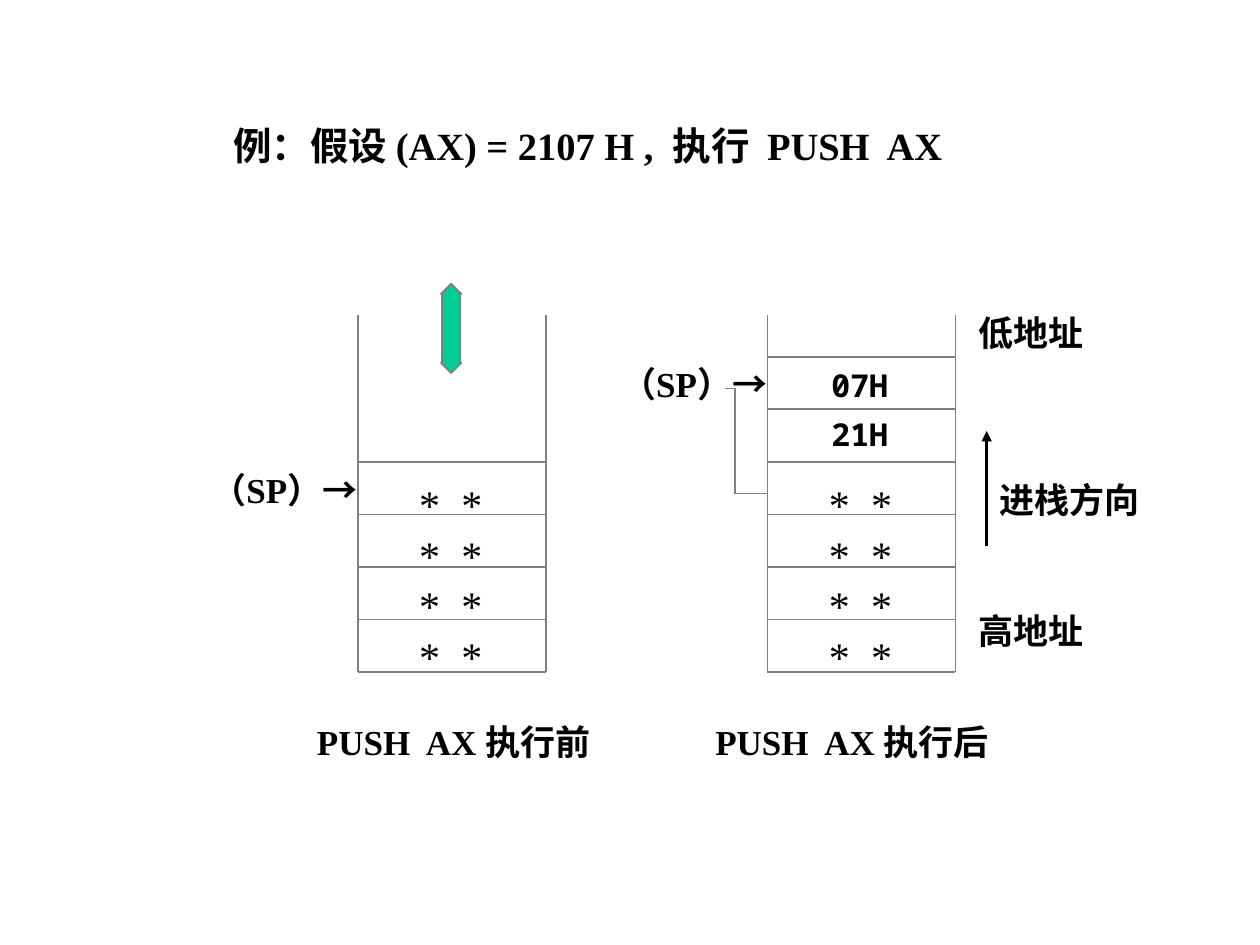
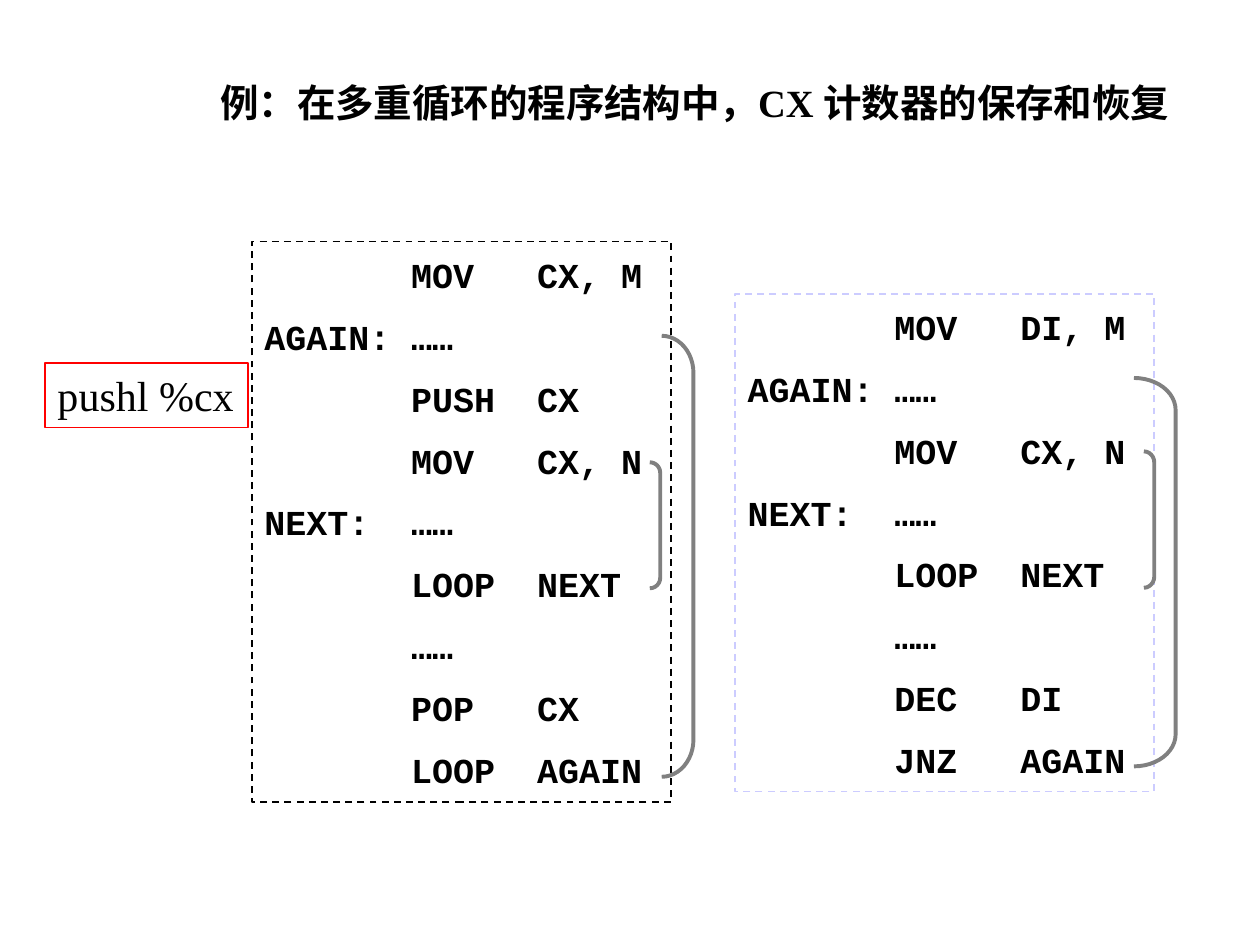
from dataclasses import dataclass
from itertools import pairwise

from lxml import etree
from pptx import Presentation
from pptx.dml.color import RGBColor
from pptx.enum.dml import MSO_LINE
from pptx.enum.shapes import MSO_CONNECTOR, MSO_SHAPE
from pptx.enum.text import MSO_ANCHOR, MSO_AUTO_SIZE, PP_ALIGN
from pptx.oxml.ns import qn
from pptx.util import Cm, Pt

STRAIGHT = MSO_CONNECTOR.STRAIGHT
RECTANGLE = MSO_SHAPE.RECTANGLE
RIGHT_BRACKET = MSO_SHAPE.RIGHT_BRACKET
UP_DOWN_ARROW = MSO_SHAPE.UP_DOWN_ARROW
DASH = MSO_LINE.DASH
TOP, MIDDLE = MSO_ANCHOR.TOP, MSO_ANCHOR.MIDDLE
LEFT, CENTER, JUSTIFY = PP_ALIGN.LEFT, PP_ALIGN.CENTER, PP_ALIGN.JUSTIFY
GROW = MSO_AUTO_SIZE.SHAPE_TO_FIT_TEXT


@dataclass(frozen=True)
class Theme:
    ink: str = "000000"
    rule: str = "808080"
    accent: str = "00CC99"
    pale: str = "CCCCFF"
    alert: str = "FF0000"
    serif: str = "Times New Roman"
    code: str = "Courier New"
    cell: str = "Noto Sans Mono"
    title_size: float = 22
    body_size: float = 20
    large_size: float = 24
    cell_size: float = 18
    thin: float = 1
    thick: float = 2.25


@dataclass(frozen=True)
class Box:
    """A region in centimetres."""
    x: float
    y: float
    w: float
    h: float

    def at(self, dx, dy, w, h):
        return Box(self.x + dx, self.y + dy, w, h)

    def emu(self):
        return Cm(self.x), Cm(self.y), Cm(self.w), Cm(self.h)


THEME = Theme()


# Shared text and line helpers
def write(frame, lines, size=THEME.body_size, face=THEME.serif, bold=True,
          align=LEFT, before=0, pitch=None, tabs=()):
    for index, line in enumerate(lines):
        paragraph = frame.add_paragraph() if index else frame.paragraphs[0]
        paragraph.alignment = align
        paragraph.space_before = Pt(before)
        if pitch:
            paragraph.line_spacing = Pt(pitch)
        if tabs:
            stops = etree.SubElement(paragraph._p.get_or_add_pPr(), qn("a:tabLst"))
            for stop in tabs:
                etree.SubElement(stops, qn("a:tab"), pos=str(Cm(stop)), algn="l")
        run = paragraph.add_run()
        run.text = line
        font = run.font
        font.size, font.bold, font.name = Pt(size), bold, face
        font.color.rgb = RGBColor.from_string(THEME.ink)
        if face == THEME.code:
            etree.SubElement(run._r.get_or_add_rPr(), qn("a:ea"), typeface=face)


def add_label(shapes, box, lines, **style):
    frame = shapes.add_textbox(*box.emu()).text_frame
    frame.word_wrap = True
    frame.auto_size = GROW
    write(frame, lines, **style)


def add_line(shapes, start, end, color=THEME.rule, width=THEME.thin, arrow=False):
    line = shapes.add_connector(STRAIGHT, *(Cm(v) for v in (*start, *end)))
    line.line.color.rgb = RGBColor.from_string(color)
    line.line.width = Pt(width)
    if arrow:
        etree.SubElement(line.line._get_or_add_ln(), qn("a:tailEnd"), type="triangle")
    etree.SubElement(line._element.spPr, qn("a:effectLst"))


def add_outline(shapes, kind, box, color=THEME.rule, width=THEME.thin, adjust=()):
    shape = shapes.add_shape(kind, *box.emu())
    shape.shadow.inherit = False
    shape.fill.background()
    shape.line.color.rgb = RGBColor.from_string(color)
    shape.line.width = Pt(width)
    for index, value in enumerate(adjust):
        shape.adjustments[index] = value
    return shape


def add_titled_slide(deck, box, title, align, anchor):
    slide = deck.slides.add_slide(deck.slide_layouts[5])
    holder = slide.shapes.title
    holder.left, holder.top, holder.width, holder.height = box.emu()
    frame = holder.text_frame
    frame.word_wrap = True
    frame.auto_size = GROW
    frame.vertical_anchor = anchor
    write(frame, [title], size=THEME.title_size, align=align)
    return slide.shapes


# Slide 1: the stack before and after PUSH
ROW = 1.06
OLD_ROWS = 4


def draw_stack(shapes, box, row_count):
    right, bottom = box.x + box.w, box.y + box.h
    for wall in (box.x, right):
        add_line(shapes, (wall, box.y), (wall, bottom))
    for row in range(row_count + 1):
        y = bottom - row * ROW
        add_line(shapes, (box.x, y), (right, y))
    add_label(shapes, box.at(0.99, 3.18, 1.8, 4.32), ["*\t*"] * OLD_ROWS,
              size=THEME.large_size, bold=False, pitch=28.8, tabs=[0.85])


def draw_pointer(shapes, box):
    add_label(shapes, box, ["（SP）→"])


def draw_caption(shapes, stack, dx, text):
    add_label(shapes, stack.at(dx, 8.05, 6.07, 1.09), [text])


def draw_pushed_cells(shapes, stack):
    add_label(shapes, stack.at(1.04, 0.91, 2.34, 2.16), ["07H", "21H"],
              size=THEME.cell_size, face=THEME.cell, before=6.3)


def draw_pointer_move(shapes, stack):
    bend = stack.x - 0.66
    old, new = stack.y + 3.6, stack.y + 1.48
    corners = [(bend - 0.2, new), (bend, new), (bend, old), (stack.x, old)]
    for start, end in pairwise(corners):
        add_line(shapes, start, end)


def draw_addresses(shapes, box):
    for dy, text in ((0, "低地址"), (6.02, "高地址")):
        add_label(shapes, box.at(0, dy, box.w, 1.09), [text])
    direction = shapes.add_group_shape().shapes
    add_label(direction, box.at(0.41, 3.38, 3.61, 1.09), ["进栈方向"])
    arrow_x = box.x + 0.41
    add_line(direction, (arrow_x, box.y + 4.86), (arrow_x, box.y + 2.54),
             color=THEME.ink, width=1.5, arrow=True)


def build_push_slide(deck):
    shapes = add_titled_slide(deck, Box(4.45, 2.34, 15.04, 1.19),
                              "例：假设 (AX) = 2107 H ,  执行  PUSH  AX", JUSTIFY, TOP)
    before = Box(7.21, 6.35, 3.79, 7.2)
    after = Box(15.47, 6.35, 3.79, 7.2)

    # Before
    draw_stack(shapes, before, OLD_ROWS)
    draw_pointer(shapes, before.at(-3.2, 2.97, 3.61, 1.09))
    draw_caption(shapes, before, -1.07, "PUSH  AX 执行前")
    arrow = add_outline(shapes, UP_DOWN_ARROW, before.at(1.68, -0.63, 0.41, 1.8),
                        adjust=(0.5, 0.9))
    arrow.fill.solid()
    arrow.fill.fore_color.rgb = RGBColor.from_string(THEME.accent)

    # After
    draw_stack(shapes, after, OLD_ROWS + 2)
    draw_pushed_cells(shapes, after)
    draw_pointer(shapes, after.at(-3.2, 0.84, 3.61, 1.09))
    draw_pointer_move(shapes, after)
    draw_caption(shapes, after, -1.3, "PUSH  AX 执行后")
    draw_addresses(shapes, Box(19.48, 6.15, 3.18, 7.44))


# Slide 2: two listings of nested loops
SAVED_ON_STACK = [
    "\tMOV\tCX, M",
    "AGAIN:\t……",
    "\tPUSH\tCX",
    "\tMOV\tCX, N",
    "NEXT:\t……",
    "\tLOOP\tNEXT",
    "\t……",
    "\tPOP\tCX",
    "\tLOOP\tAGAIN",
]
OTHER_COUNTER = [
    "\tMOV\tDI, M",
    "AGAIN:\t……",
    "\tMOV\tCX, N",
    "NEXT:\t……",
    "\tLOOP\tNEXT",
    "\t……",
    "\tDEC\tDI",
    "\tJNZ\tAGAIN",
]


def draw_listing(shapes, box, code, color, loops):
    panel = add_outline(shapes, RECTANGLE, box, color)
    panel.line.dash_style = DASH
    frame = panel.text_frame
    frame.word_wrap = True
    frame.vertical_anchor = MIDDLE
    write(frame, code, face=THEME.code, before=11.3, tabs=[2.96, 5.5])
    # Loop brackets: offset from the panel, size, corner
    for *place, corner in loops:
        add_outline(shapes, RIGHT_BRACKET, box.at(*place),
                    width=THEME.thick, adjust=[corner])


def draw_instruction(shapes, box, text):
    frame = add_outline(shapes, RECTANGLE, box, THEME.alert, 0.75).text_frame
    frame.word_wrap = False
    frame.vertical_anchor = TOP
    write(frame, [text], size=THEME.large_size, bold=False)


def build_loop_slide(deck):
    shapes = add_titled_slide(deck, Box(4.11, 1.47, 19.79, 1.19),
                              "例：在多重循环的程序结构中，CX 计数器的保存和恢复",
                              CENTER, MIDDLE)
    draw_listing(shapes, Box(5.08, 4.87, 8.45, 11.3), SAVED_ON_STACK, THEME.ink,
                 [(8.02, 4.45, 0.21, 2.54, 1), (8.26, 1.9, 0.64, 8.89, 1.17)])
    draw_listing(shapes, Box(14.82, 5.93, 8.45, 10.03), OTHER_COUNTER, THEME.pale,
                 [(8.24, 3.17, 0.21, 2.75, 1.08), (8.04, 1.69, 0.84, 7.83, 0.77)])
    draw_instruction(shapes, Box(0.91, 7.32, 4.09, 1.3), "pushl %cx")


def main():
    deck = Presentation()
    deck.slide_width, deck.slide_height = Cm(25.4), Cm(19.05)
    build_push_slide(deck)
    build_loop_slide(deck)
    deck.save("out.pptx")


if __name__ == "__main__":
    main()
